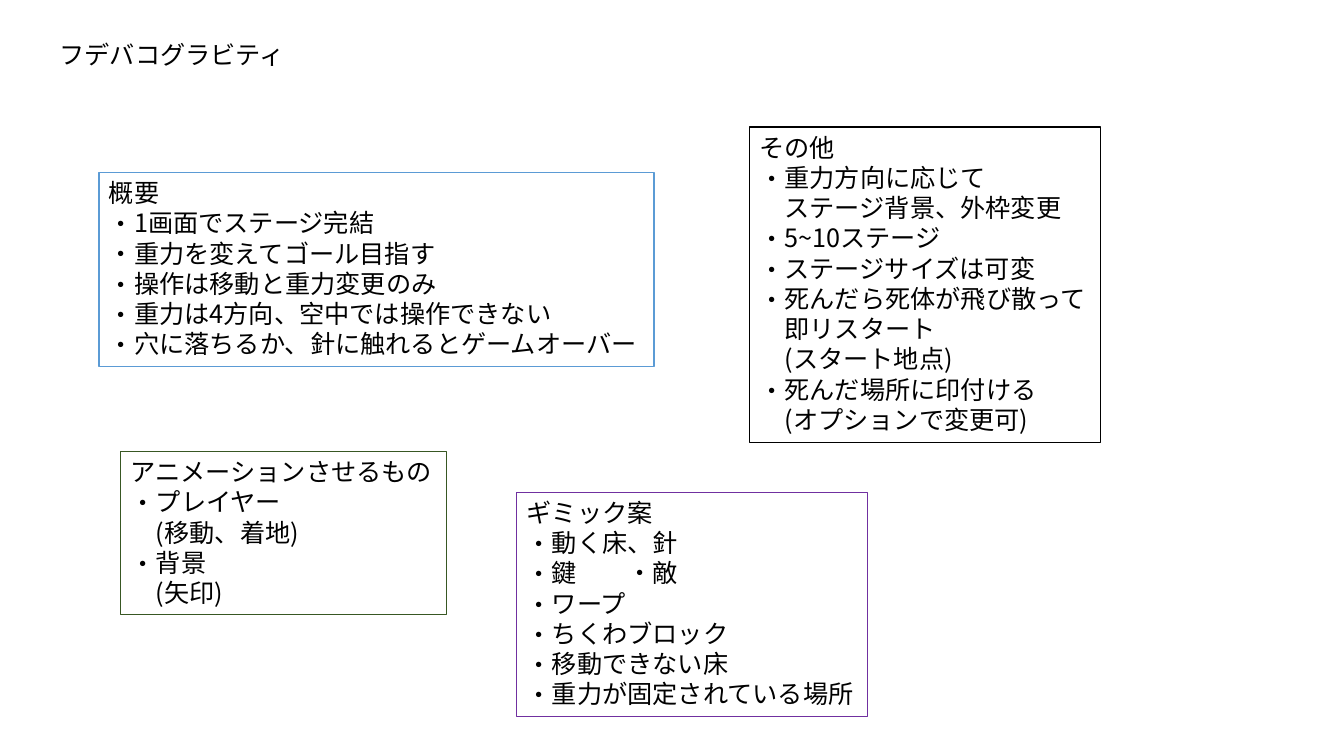
import dataclasses
import typing
import lxml.etree
import pptx
import pptx.dml.color
import pptx.enum.text
import pptx.oxml.ns
import pptx.util

Pt = pptx.util.Pt
FACE = "Noto Sans CJK JP"
SIZE = 18
LEAD = 21.6
MARK = "・"
FRAME = {
    "word_wrap": False,
    "auto_size": pptx.enum.text.MSO_AUTO_SIZE.NONE,
    "vertical_anchor": pptx.enum.text.MSO_ANCHOR.TOP,
    "margin_left": Pt(7.2),
    "margin_right": Pt(7.2),
    "margin_top": Pt(3.6),
    "margin_bottom": Pt(3.6),
}
PARA = {
    "alignment": pptx.enum.text.PP_ALIGN.LEFT,
    "line_spacing": Pt(LEAD),
    "space_before": Pt(0),
    "space_after": Pt(0),
}


@dataclasses.dataclass(frozen=True)
class Panel:
    slot: int
    area: tuple[float, float, float, float]
    edge: str
    width: float
    fill: str | None
    head: str
    lines: tuple[str, ...]


PANELS = (
    Panel(1, (70.6, 123.1, 396.6, 138.6), "5B9BD5", 1, "FFFFFF", "概要", (
        "・1画面でステージ完結",
        "・重力を変えてゴール目指す",
        "・操作は移動と重力変更のみ",
        "・重力は4方向、空中では操作できない",
        "・穴に落ちるか、針に触れるとゲームオーバー",
    )),
    Panel(2, (369, 351.6, 251, 160), "7030A0", 0.75, None, "ギミック案", (
        "・動く床、針",
        "・鍵\t・敵",
        "・ワープ",
        "・ちくわブロック",
        "・移動できない床",
        "・重力が固定されている場所",
    )),
    Panel(3, (535.2, 90.7, 251, 225.3), "000000", 1, "FFFFFF", "その他", (
        "・重力方向に応じて",
        "ステージ背景、外枠変更",
        "・5~10ステージ",
        "・ステージサイズは可変",
        "・死んだら死体が飛び散って",
        "即リスタート",
        "(スタート地点)",
        "・死んだ場所に印付ける",
        "(オプションで変更可)",
    )),
    Panel(4, (86.2, 322.4, 232.6, 116.6), "385723", 0.75, None,
          "アニメーションさせるもの", (
        "・プレイヤー",
        "(移動、着地)",
        "・背景",
        "(矢印)",
    )),
)


def tint(code: str) -> pptx.dml.color.RGBColor:
    return pptx.dml.color.RGBColor.from_string(code)


def apply(item: typing.Any, values: dict[str, typing.Any]) -> None:
    for name, value in values.items():
        setattr(item, name, value)


def add(node: typing.Any, tag: str, **values: str) -> typing.Any:
    return lxml.etree.SubElement(node, pptx.oxml.ns.qn(tag), values)


def place(shape: typing.Any, area: tuple[float, float, float, float]) -> None:
    apply(shape, dict(zip(("left", "top", "width", "height"), map(Pt, area))))
    apply(shape.text_frame, FRAME)


def write(para: typing.Any, text: str, nest: bool) -> None:
    apply(para, PARA)
    props = para._p.get_or_add_pPr()
    mark = nest and text.startswith(MARK)
    inset = Pt(SIZE) if nest else 0
    props.set("marL", str(inset))
    props.set("indent", str(-inset if mark else 0))
    if mark:
        add(props, "a:buFont", typeface=FACE)
        add(props, "a:buChar", char=MARK)
        text = text[len(MARK):]
    else:
        add(props, "a:buNone")
    if "\t" in text:
        tabs = add(props, "a:tabLst")
        add(tabs, "a:tab", pos=str(Pt(4 * SIZE)), algn="l")
    run = para.add_run()
    run.text = text
    apply(run.font, {"name": FACE, "size": Pt(SIZE), "bold": False})
    run.font.color.rgb = tint("000000")
    add(run.font._element, "a:ea", typeface=FACE)


def draw(shape: typing.Any, panel: Panel) -> None:
    place(shape, panel.area)
    if panel.fill:
        shape.fill.solid()
        shape.fill.fore_color.rgb = tint(panel.fill)
    else:
        shape.fill.background()
    shape.line.color.rgb = tint(panel.edge)
    shape.line.width = Pt(panel.width)
    frame = shape.text_frame
    write(frame.paragraphs[0], panel.head, False)
    for line in panel.lines:
        write(frame.add_paragraph(), line, True)


def main() -> None:
    deck = pptx.Presentation()
    apply(deck, {"slide_width": Pt(960), "slide_height": Pt(540)})
    slide = deck.slides.add_slide(deck.slide_layouts.get_by_name("Comparison"))
    title = slide.shapes.title
    place(title, (35.3, 24.5, 177.8, 28.8))
    write(title.text_frame.paragraphs[0], "フデバコグラビティ", False)
    slots = {item.placeholder_format.idx: item for item in slide.placeholders}
    for panel in PANELS:
        draw(slots[panel.slot], panel)
    deck.save("out.pptx")


if __name__ == "__main__":
    main()
